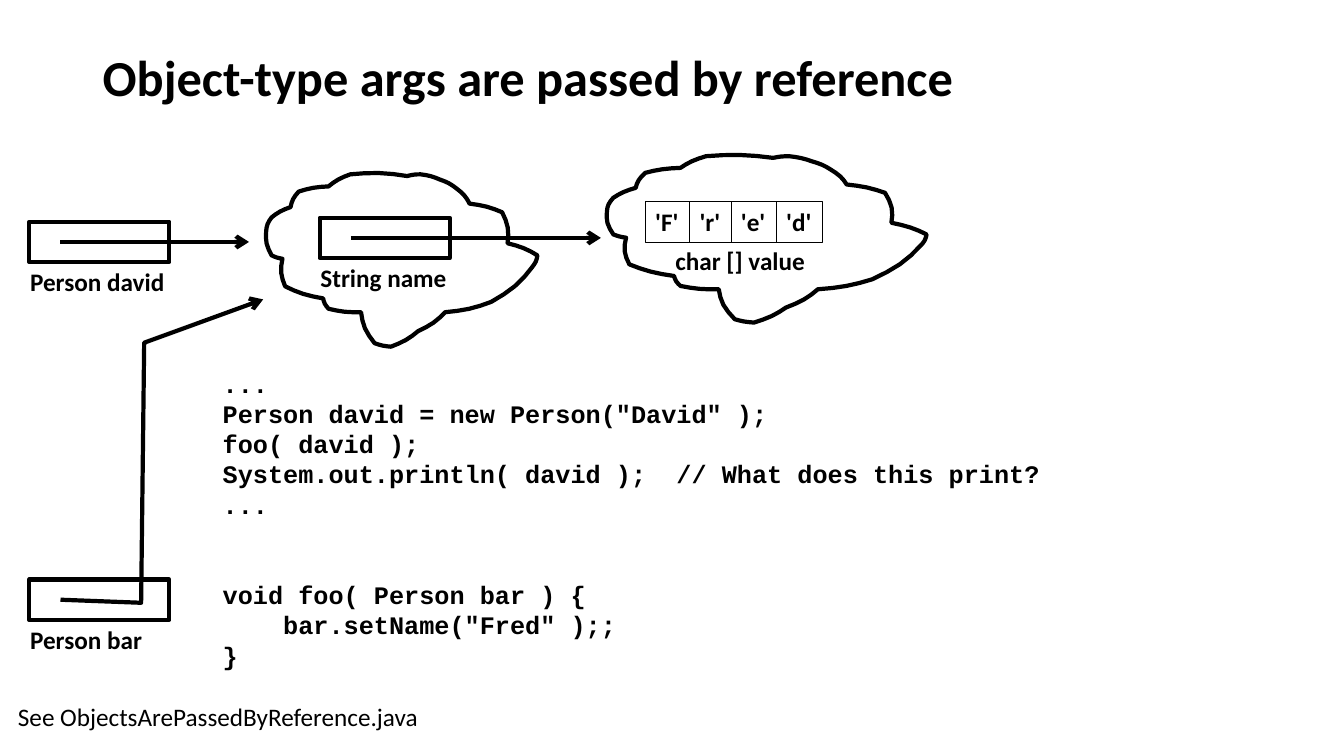
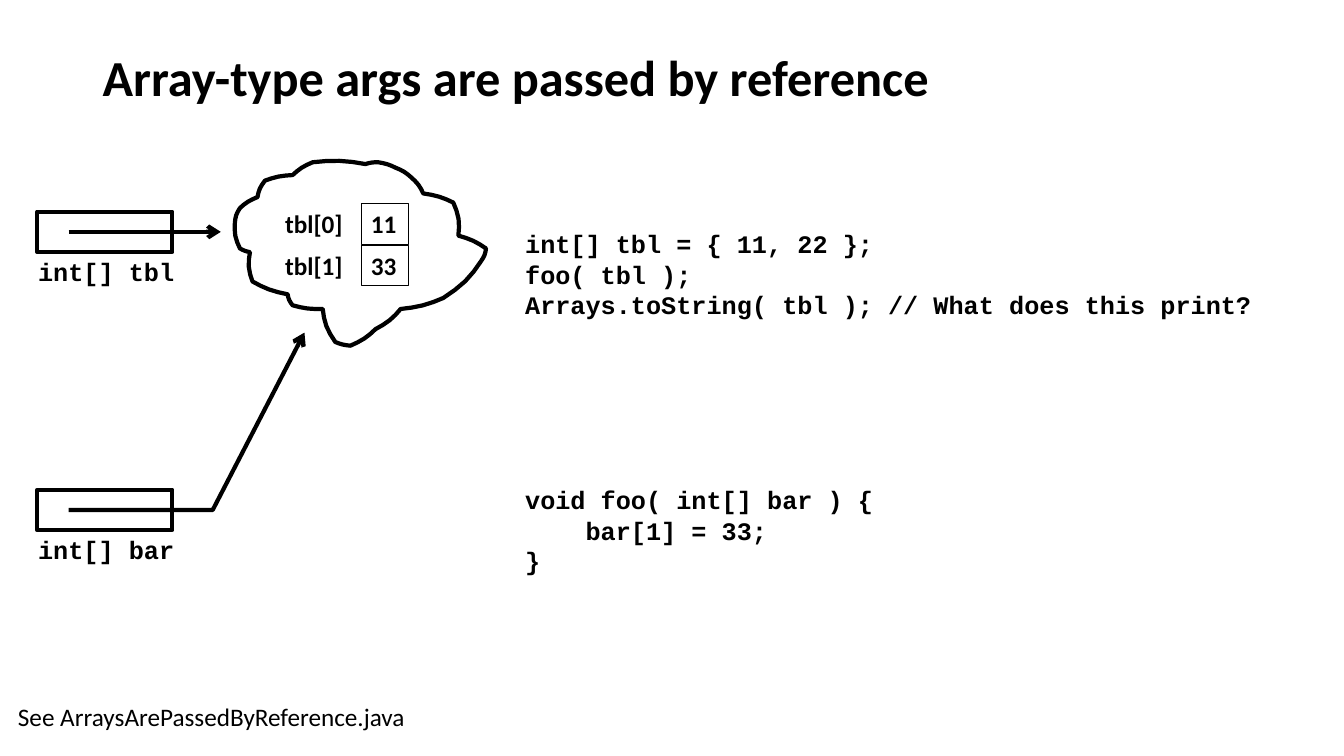
import itertools
import math
import pptx
import pptx.util
import pptx.dml.color
import pptx.enum.shapes
import pptx.enum.text
import pptx.oxml
import pptx.oxml.ns
from dataclasses import dataclass


@dataclass
class Theme:
    ink = pptx.dml.color.RGBColor(0, 0, 0)
    sans: str = "Calibri"
    mono: str = "Courier New"
    title_size: float = 36
    body_size: float = 18
    code_leading: float = 21.6
    bold_line: float = 3
    hairline: float = 0.25


@dataclass
class Variable:
    name: str
    left: float
    top: float
    width: float
    route: list  # points the arrow visits after leaving the box


theme = Theme()

# Grid of one-inch columns and rows
presentation = pptx.Presentation()
CELL = pptx.util.Inches(1)
presentation.slide_width = int(13.33 * CELL)
presentation.slide_height = int(7.5 * CELL)
ROW = 0.4
CODE_INDENT = 0.6
LABEL_WIDTH = 2
LABEL_SHIFT = (-0.09, 0.39)    # from a variable's box to its name
ARROW_SHIFT = (0.31, 0.2)      # from a variable's box to its arrow's start
CAPTION_SHIFT = (0.2, 0.38)    # from an array to its caption
INDEX_SHIFT = -0.85            # from an array cell to its index
INDEX_PITCH = 0.41

# Cloud rule: lobes swell outward between neighbouring dents,
# which are percentages of the cloud's box, counterclockwise from the top
DENTS = [
    (52, 1), (31, 0), (23, 7), (12, 10), (9, 19), (2, 25), (0, 33),    # upper left
    (2, 47), (6, 49), (7, 65), (21, 72), (23, 78), (35, 80),           # lower left
    (40, 98), (46, 100), (56, 91), (66, 80), (83, 74), (98, 54),       # lower right
    (100, 47), (89, 40), (87, 22), (75, 17), (70, 8), (64, 3), (57, 0),  # upper right
]
SWELL = 0.06
LOBE_STEPS = 4

cloud_outline = []
for (x1, y1), (x2, y2) in zip(DENTS, DENTS[1:] + DENTS[:1]):
    for step in range(LOBE_STEPS):
        share = step / LOBE_STEPS
        swell = SWELL * math.sin(math.pi * share)
        cloud_outline.append(((x1 + (x2 - x1) * share - (y2 - y1) * swell) / 100,
                              (y1 + (y2 - y1) * share + (x2 - x1) * swell) / 100))


def write(slide, box, text="", outline=None, size=theme.body_size, font=theme.sans,
          bold=True, anchor="TOP", spacing=None, gaps=()):
    """Add text, in an outlined rectangle when outline is given; a tab indents a line."""
    frame_box = [int(length * CELL) for length in box]
    if outline:
        shape = slide.shapes.add_shape(pptx.enum.shapes.MSO_SHAPE.RECTANGLE, *frame_box)
        shape.shadow.inherit = False
        shape.fill.background()
        shape.line.color.rgb = theme.ink
        shape.line.width = pptx.util.Pt(outline)
    else:
        shape = slide.shapes.add_textbox(*frame_box)
    if not text:
        return
    frame = shape.text_frame
    frame.word_wrap = not outline
    frame.vertical_anchor = getattr(pptx.enum.text.MSO_ANCHOR, anchor)
    for number, line in enumerate(text.split("\n")):
        paragraph = frame.add_paragraph() if number else frame.paragraphs[0]
        paragraph.alignment = pptx.enum.text.PP_ALIGN.LEFT
        if spacing:
            paragraph.line_spacing = spacing
        if number in gaps:
            paragraph.space_before = pptx.util.Pt(gaps[number])
        if line.startswith("\t"):
            paragraph._p.get_or_add_pPr().set("marL", str(int(CODE_INDENT * CELL)))
        run = paragraph.add_run()
        run.text = line.strip()
        run.font.name = font
        run.font.size = pptx.util.Pt(size)
        run.font.bold = bold
        run.font.color.rgb = theme.ink


def draw(slide, points, closed=False):
    """Draw a closed outline, or a straight or bent arrow, through the points."""
    corners = [(int(x * CELL), int(y * CELL)) for x, y in points]
    if len(corners) == 2:
        shape = slide.shapes.add_connector(
            pptx.enum.shapes.MSO_CONNECTOR.STRAIGHT, *corners[0], *corners[1])
    else:
        builder = slide.shapes.build_freeform(*corners[0])
        builder.add_line_segments(corners[1:], close=closed)
        shape = builder.convert_to_shape()
        shape.fill.background()
    shape.line.color.rgb = theme.ink
    shape.line.width = pptx.util.Pt(theme.bold_line)
    namespace = pptx.oxml.ns.nsdecls("a")
    if not closed:
        shape.line._get_or_add_ln().append(
            pptx.oxml.parse_xml(f'<a:tailEnd {namespace} type="arrow"/>'))
    shape._element.spPr.append(pptx.oxml.parse_xml(f"<a:effectLst {namespace}/>"))


# Content: boxes are left, top, width, height
pages = [
    {
        "title": "Object-type args are passed by reference",
        "footer": "See ObjectsArePassedByReference.java",
        "clouds": [(2.64, 1.73, 2.69, 1.71), (6.02, 1.55, 3.17, 1.65)],
        "variables": [
            Variable("Person david", 0.29, 2.2, 1.39, [(2.47, 2.4)]),
            Variable("String name", 3.17, 2.16, 1.29, [(5.96, 2.36)]),
            Variable("Person bar", 0.29, 5.75, 1.39,
                     [(1.4, 5.98), (1.43, 3.4), (2.61, 2.97)]),
        ],
        "variable_font": theme.sans,
        "array": {"left": 6.4, "top": 2, "caption": "char [] value",
                  "values": ["'F'", "'r'", "'e'", "'d'"],
                  "widths": [0.44, 0.41, 0.45, 0.46]},
        "code_box": (2.11, 3.6, 11.22, 3.25),
        "code": '...\nPerson david = new Person("David" );\nfoo( david );\n'
                "System.out.println( david );  // What does this print?\n...\n"
                'void foo( Person bar ) {\n\tbar.setName("Fred" );;\n}',
        "gaps": {5: 2 * theme.code_leading},
    },
    {
        "title": "Array-type args are passed by reference",
        "footer": "See ArraysArePassedByReference.java",
        "clouds": [(2.33, 1.61, 2.49, 1.82)],
        "variables": [
            Variable("int[] tbl", 0.37, 2.1, 1.34, [(2.19, 2.3)]),
            Variable("int[] bar", 0.37, 4.86, 1.34, [(2.11, 5.06), (3.02, 3.3)]),
        ],
        "variable_font": theme.mono,
        "indexed": {"left": 3.58, "top": 2.02, "width": 0.47,
                    "name": "tbl", "values": ["11", "33"]},
        "code_box": (5.11, 2.22, 8.22, 5.11),
        "code": "int[] tbl = { 11, 22 };\nfoo( tbl );\n"
                "Arrays.toString( tbl ); // What does this print?\n"
                "void foo( int[] bar ) {\n\tbar[1] = 33;\n}",
        "gaps": {3: 118},
    },
]

for page in pages:
    slide = presentation.slides.add_slide(presentation.slide_layouts[6])

    # Title, code and footer
    write(slide, (0.92, 0.4, 11.5, 0.79), page["title"], size=theme.title_size,
          anchor="MIDDLE", spacing=0.9)
    write(slide, page["code_box"], page["code"], font=theme.mono,
          spacing=pptx.util.Pt(theme.code_leading), gaps=page["gaps"])
    write(slide, (0.08, 6.91, 5, ROW), page["footer"], bold=False)

    # Objects in memory
    for left, top, width, height in page["clouds"]:
        draw(slide, [(left + x * width, top + y * height) for x, y in cloud_outline],
             closed=True)

    # Array laid out as a row, each cell starting where the last one ends
    if "array" in page:
        array = page["array"]
        left, top = array["left"], array["top"]
        starts = itertools.accumulate(array["widths"], initial=left)
        for start, width, value in zip(starts, array["widths"], array["values"]):
            write(slide, (start, top, width, ROW), value, outline=theme.hairline)
        write(slide, (left + CAPTION_SHIFT[0], top + CAPTION_SHIFT[1], LABEL_WIDTH, ROW),
              array["caption"])

    # Array laid out as a column, with an index before each cell
    if "indexed" in page:
        array = page["indexed"]
        for index, value in enumerate(array["values"]):
            top = array["top"] + index * INDEX_PITCH
            write(slide, (array["left"], top, array["width"], ROW), value,
                  outline=theme.hairline)
            write(slide, (array["left"] + INDEX_SHIFT, top, -INDEX_SHIFT, ROW),
                  f"{array['name']}[{index}]")

    # Variables: box, name below it, arrow out of it
    for variable in page["variables"]:
        left, top = variable.left, variable.top
        write(slide, (left, top, variable.width, ROW), outline=theme.bold_line)
        write(slide, (left + LABEL_SHIFT[0], top + LABEL_SHIFT[1], LABEL_WIDTH, ROW),
              variable.name, font=page["variable_font"])
        draw(slide, [(left + ARROW_SHIFT[0], top + ARROW_SHIFT[1])] + variable.route)

presentation.save("out.pptx")
